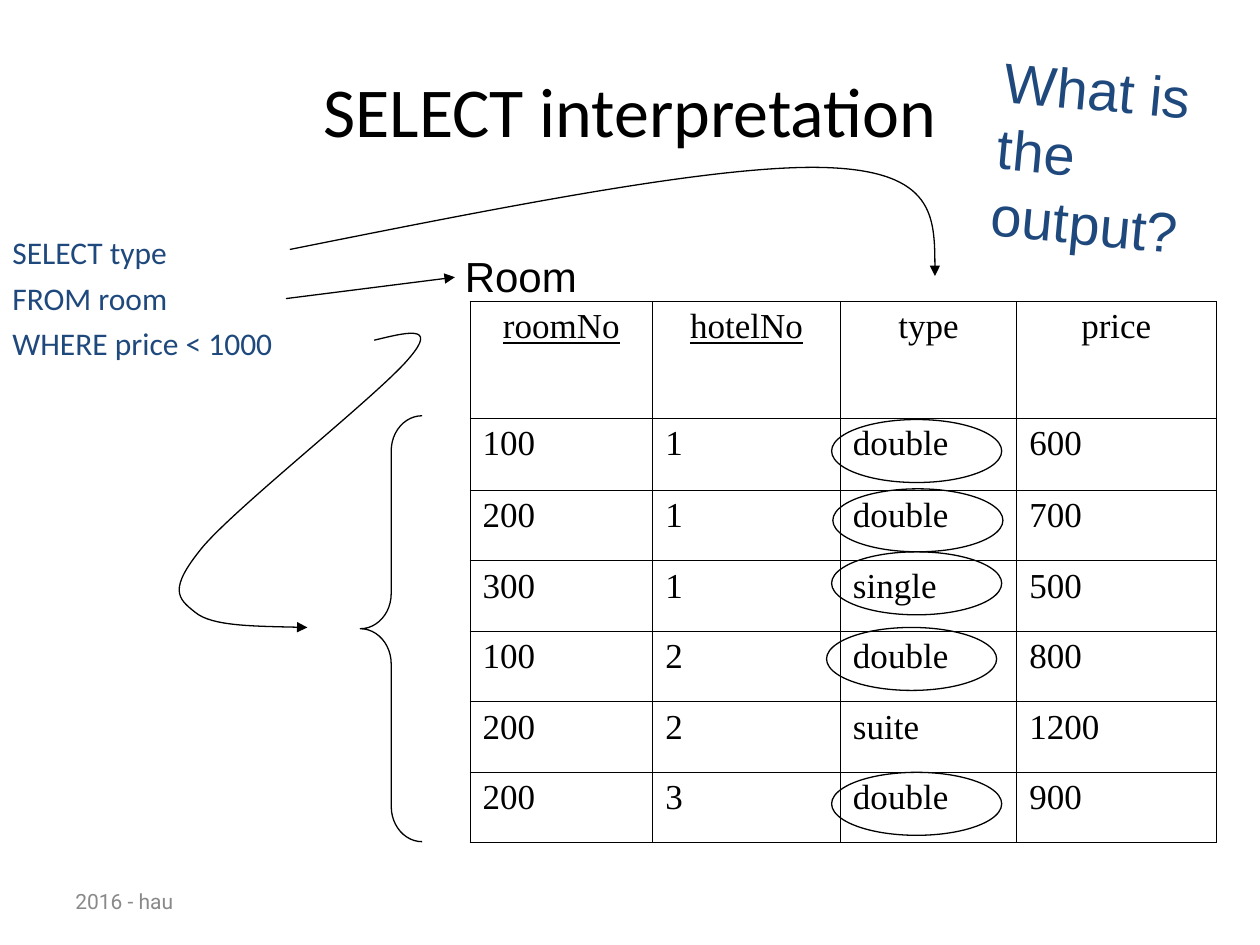
from dataclasses import dataclass

from lxml.etree import SubElement
from pptx import Presentation
from pptx.dml.color import RGBColor
from pptx.enum.shapes import MSO_CONNECTOR as Connector, MSO_SHAPE as Shape
from pptx.enum.text import MSO_ANCHOR as Anchor, PP_ALIGN as Align
from pptx.oxml.ns import qn
from pptx.util import Inches, Pt


@dataclass(frozen=True)
class Theme:
    black: RGBColor = RGBColor(0x00, 0x00, 0x00)
    blue: RGBColor = RGBColor(0x1F, 0x49, 0x7D)
    gray: RGBColor = RGBColor(0x89, 0x89, 0x89)
    title_size: int = 40
    question_size: int = 32
    label_size: int = 24
    table_size: int = 20
    query_size: int = 18
    footer_size: int = 12
    line_width: float = 0.75
    border_width: float = 0.45


THEME = Theme()

HEADERS = ["roomNo", "hotelNo", "type", "price"]
KEY_COLUMNS = {"roomNo", "hotelNo"}
ROOMS = [
    ("100", "1", "double", "600"),
    ("200", "1", "double", "700"),
    ("300", "1", "single", "500"),
    ("100", "2", "double", "800"),
    ("200", "2", "suite", "1200"),
    ("200", "3", "double", "900"),
]
COLUMN_WIDTHS = [1.45, 1.49, 1.4, 1.58]
ROW_HEIGHTS = [0.93, 0.57] + [0.56] * 5

# Left and top of the ring around each selected type
RINGS = [(6.6, 3.33), (6.61, 3.88), (6.6, 4.38), (6.56, 4.98), (6.6, 6.13)]

# Start point, then two control points and an end point per curve
SELECT_CURVE = [(2.3, 1.98), (4, 1.64), (5.71, 1.3), (6.56, 1.33),
                (7.42, 1.36), (7.42, 1.77), (7.42, 2.19)]
WHERE_CURVE = [(2.97, 2.7), (3.22, 2.64), (3.48, 2.57), (3.25, 2.84),
               (3.02, 3.12), (1.89, 4.01), (1.61, 4.34),
               (1.33, 4.68), (1.41, 4.75), (1.55, 4.86),
               (1.68, 4.97), (2.06, 4.97), (2.44, 4.98)]


def style_font(para, name, size, color):
    font = para.font
    font.name = name
    font.size = Pt(size)
    font.color.rgb = color


def add_text(page, bounds, lines, name, size, color, align=Align.LEFT,
             anchor=Anchor.TOP, wrap=True, gap=0, hanging=0):
    box = page.shapes.add_textbox(*map(Inches, bounds))
    frame = box.text_frame
    frame.word_wrap = wrap
    frame.vertical_anchor = anchor
    frame.text = "\n".join(lines)
    for index, para in enumerate(frame.paragraphs):
        para.alignment = align
        if index and gap:
            para.space_before = Pt(gap)
        if hanging:
            properties = para._p.get_or_add_pPr()
            properties.set("marL", str(Inches(hanging)))
            properties.set("indent", str(-Inches(hanging)))
        style_font(para, name, size, color)
    return box


def style_line(shape, arrow=False):
    shape.line.color.rgb = THEME.black
    shape.line.width = Pt(THEME.line_width)
    if arrow:
        line = shape.element.spPr.find(qn("a:ln"))
        SubElement(line, qn("a:tailEnd"), type="triangle")


def add_outline(page, kind, bounds):
    shape = page.shapes.add_shape(kind, *map(Inches, bounds))
    shape.shadow.inherit = False
    shape.fill.background()
    style_line(shape)
    return shape


def add_straight_arrow(page, start, end):
    arrow = page.shapes.add_connector(
        Connector.STRAIGHT, *map(Inches, start + end))
    style_line(arrow, arrow=True)
    SubElement(arrow.element.spPr, qn("a:effectLst"))


def add_curved_arrow(page, points):
    start, *rest = [(Inches(x), Inches(y)) for x, y in points]
    builder = page.shapes.build_freeform(*start)
    builder.add_line_segments(rest, close=False)
    arrow = builder.convert_to_shape()
    # Turn each three segments into one cubic curve
    path = next(arrow.element.iter(qn("a:path")))
    segments = path.findall(qn("a:lnTo"))
    for index in range(0, len(segments), 3):
        curve = SubElement(path, qn("a:cubicBezTo"))
        for segment in segments[index:index + 3]:
            curve.append(segment[0])
            path.remove(segment)
    arrow.shadow.inherit = False
    arrow.fill.background()
    style_line(arrow, arrow=True)


def add_borders(cell):
    properties = cell._tc.get_or_add_tcPr()
    for index, side in enumerate(("lnL", "lnR", "lnT", "lnB")):
        line = SubElement(properties, qn(f"a:{side}"),
                          w=str(Pt(THEME.border_width)))
        fill = SubElement(line, qn("a:solidFill"))
        SubElement(fill, qn("a:srgbClr"), val=str(THEME.black))
        properties.remove(line)
        properties.insert(index, line)


def add_room_table(page):
    rows = [HEADERS] + ROOMS
    frame = page.shapes.add_table(
        len(rows), len(HEADERS), Inches(3.73), Inches(2.39),
        Inches(sum(COLUMN_WIDTHS)), Inches(sum(ROW_HEIGHTS)))
    table = frame.table
    table.first_row = False
    table.horz_banding = False
    for column, width in zip(table.columns, COLUMN_WIDTHS):
        column.width = Inches(width)
    for row, height, values in zip(table.rows, ROW_HEIGHTS, rows):
        row.height = Inches(height)
        for cell, value in zip(row.cells, values):
            cell.text = value
            cell.fill.background()
            add_borders(cell)
            para = cell.text_frame.paragraphs[0]
            para.alignment = Align.CENTER if values is HEADERS else Align.LEFT
            style_font(para, "Times New Roman", THEME.table_size, THEME.black)
            if value in KEY_COLUMNS:
                para.font.underline = True


def main():
    deck = Presentation()
    deck.slide_width, deck.slide_height = Inches(10), Inches(7.5)
    page = deck.slides.add_slide(deck.slide_layouts[6])

    # Title and query
    add_text(page, (0.5, 0.47, 9, 0.8), ["SELECT interpretation"], "Calibri",
             THEME.title_size, THEME.black, Align.CENTER, Anchor.MIDDLE)
    add_text(page, (0, 1.8, 9, 4.89),
             ["SELECT type", "FROM room", "WHERE price < 1000"], "Calibri",
             THEME.query_size, THEME.blue, gap=4.5, hanging=0.38)

    # Room table
    add_text(page, (3.59, 1.94, 1.09, 0.5), ["Room"], "Arial",
             THEME.label_size, THEME.black, anchor=Anchor.MIDDLE, wrap=False)
    add_room_table(page)

    # Arrows from each clause to the part of the table it picks
    add_curved_arrow(page, SELECT_CURVE)
    add_straight_arrow(page, (2.27, 2.37), (3.61, 2.2))
    brace = add_outline(page, Shape.LEFT_BRACE, (2.86, 3.3, 0.49, 3.38))
    brace.adjustments[0] = 0.57
    add_curved_arrow(page, WHERE_CURVE)

    # Question
    question = add_text(page, (7.82, 0.39, 1.76, 1.7),
                        ["What is the output?"], "Arial",
                        THEME.question_size, THEME.blue)
    question.rotation = 5.5

    # Rings around the selected types
    for left, top in RINGS:
        add_outline(page, Shape.OVAL, (left, top, 1.35, 0.5))

    # Footer
    add_text(page, (0.5, 6.95, 2.33, 0.4), ["2016 - hau"], "Roboto",
             THEME.footer_size, THEME.gray, anchor=Anchor.MIDDLE)

    deck.save("out.pptx")


if __name__ == "__main__":
    main()
